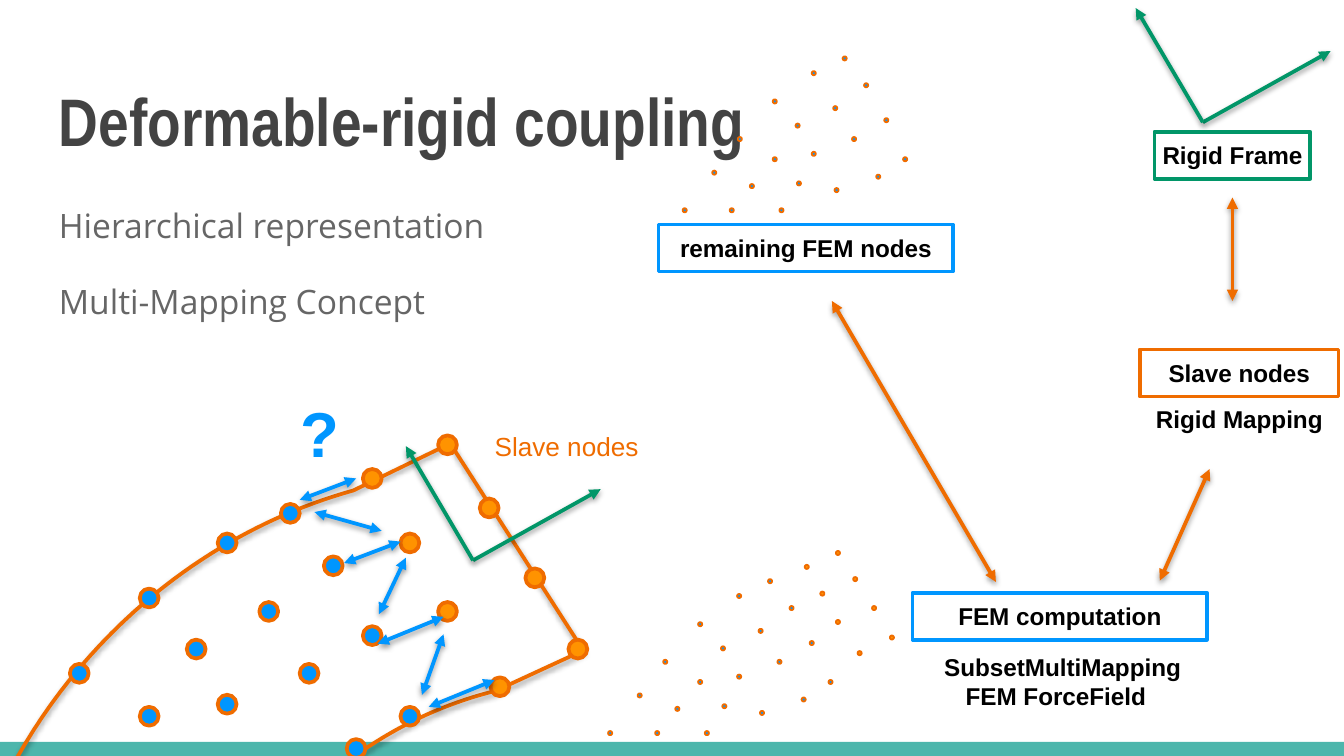
from lxml.etree import SubElement
from pptx import Presentation
from pptx.dml.color import RGBColor
from pptx.enum.shapes import MSO_CONNECTOR, MSO_SHAPE
from pptx.enum.text import MSO_ANCHOR, PP_ALIGN
from pptx.oxml.ns import qn
from pptx.util import Inches, Pt

COLUMNS, ROWS = 1000, 562.5
UNIT = Inches(10) / COLUMNS
ORANGE, AMBER, BLUE, GREEN = "EF6C00", "FF9300", "0096FF", "019668"
BLACK, WHITE, TEAL = "000000", "FFFFFF", "4DB6AC"

NODE, POINT = 14, 3
SLAVE_NODES = [(326, 324), (270, 349), (298, 397), (357, 371),
               (326, 448), (391, 423), (365, 504), (423, 476)]
FREE_NODES = [(209, 375), (241, 414), (270, 466), (298, 526), (162, 397), (193, 448), (223, 494),
              (258, 550), (104, 438), (139, 476), (162, 517), (52, 494), (104, 526)]
CLOUD = [(627, 42), (643, 62), (658, 88), (672, 117), (604, 53), (620, 79), (634, 102),
         (652, 130), (575, 74), (592, 92), (604, 113), (549, 102), (575, 117), (621, 140),
         (593, 135), (530, 127), (543, 155), (558, 137), (580, 155), (508, 155)]
CLOUD_SHIFT = (-55.5, 389)
SLAVE_CLOUD_START, SLAVE_CLOUD_SCALE = (622, 410), 0.414

OUTLINE = [
    [(-34, 693)],
    [(160, 692)],
    [(178, 650), (205, 612), (240, 582)],
    [(277, 549), (321, 526), (369, 514)],
    [(434, 484)],
    [(335, 330)],
    [(263, 365)],
    [(202, 382), (147, 413), (100, 455)],
    [(30, 518), (-17, 601), (-34, 693)],
]
FRAME_ORIGINS = [(352, 417), (895, 91)]
FRAME_AXES = [(95, -53), (-50, -85)]
COUPLING_ARROWS = [((256, 419), (298, 403)), ((282, 457), (302, 415)), ((281, 479), (330, 459)),
                   ((319, 526), (368, 506)), ((314, 517), (330, 472)), ((234, 381), (284, 395)),
                   ((223, 372), (265, 356))]
MAPPING_ARROWS = [((917, 224), (917, 147)), ((863, 432), (900, 349)), ((741, 433), (619, 224))]

BOXES = [
    ("Rigid Frame", (859, 98, 116, 35), GREEN),
    ("Slave nodes", (848, 260, 148, 35), ORANGE),
    ("remaining FEM nodes", (490, 167, 219, 35), BLUE),
    ("FEM computation", (679, 441, 219, 35), BLUE),
]
HEADING = dict(size=36, font="Arial Narrow", color="434343", bold=True, inset=10, wrap=True)
BODY = dict(size=18, font="Open Sans", color="666666", inset=10, wrap=True, spacing=1.15, before=16)
LABEL = dict(size=13, bold=True, align=PP_ALIGN.CENTER)
TEXTS = [
    ("Deformable-rigid coupling", (34, 49, 932, 77), HEADING),
    ("Hierarchical representation\nMulti-Mapping Concept", (34, 138, 364, 111), BODY),
    ("Slave nodes", (368, 320, 108, 22), dict(size=14, color=ORANGE)),
    ("Rigid Mapping", (859, 301, 126, 22), LABEL),
    ("?", (223, 293, 30, 57), LABEL | dict(size=34, color=BLUE)),
    (" SubsetMultiMapping\nFEM ForceField ", (694, 485, 188, 44), LABEL),
]


def rgb(value):
    return RGBColor.from_string(value)


def emu(*lengths):
    return [round(length * UNIT) for length in lengths]


def write(shape, text, size=13, font="Arial", color=BLACK, bold=False, align=PP_ALIGN.LEFT,
          anchor=MSO_ANCHOR.TOP, inset=0, wrap=False, spacing=None, before=0):
    frame = shape.text_frame
    frame.word_wrap, frame.vertical_anchor = wrap, anchor
    margin, = emu(inset)
    frame.margin_left = frame.margin_right = frame.margin_top = frame.margin_bottom = margin
    for index, line in enumerate(text.split("\n")):
        para = frame.paragraphs[0] if index == 0 else frame.add_paragraph()
        para.alignment, para.line_spacing = align, spacing
        para.space_before = Pt(before if index else 0)
        span = para.add_run()
        span.text = line
        span.font.size, span.font.name, span.font.bold = Pt(size), font, bold
        span.font.color.rgb = rgb(color)


def stroke(shape, color, width=2):
    shape.line.color.rgb, shape.line.width = rgb(color), Pt(width)


def add_shadow(shape):
    properties = shape._element.spPr
    for old in properties.findall(qn("a:effectLst")):
        properties.remove(old)
    effects = SubElement(properties, qn("a:effectLst"))
    shadow = SubElement(effects, qn("a:outerShdw"), blurRad=str(Pt(3)), dist=str(Pt(1.6)),
                        dir="5400000", rotWithShape="0")
    tint = SubElement(shadow, qn("a:srgbClr"), val=BLACK)
    SubElement(tint, qn("a:alpha"), val="38000")


def add_preset(shapes, kind, place, fill, line=None, width=2):
    shape = shapes.add_shape(kind, *emu(*place))
    shape.shadow.inherit = False
    shape.fill.solid()
    shape.fill.fore_color.rgb = rgb(fill)
    if line:
        stroke(shape, line, width)
    else:
        shape.line.fill.background()
    return shape


def add_dots(shapes, corners, size, fill, width):
    for left, top in corners:
        add_preset(shapes, MSO_SHAPE.OVAL, (left, top, size, size), fill, ORANGE, width)


def add_arrow(page, start, end, color, ends=("headEnd", "tailEnd")):
    arrow = page.shapes.add_connector(MSO_CONNECTOR.STRAIGHT, *emu(*start, *end))
    stroke(arrow, color)
    for name in ends:
        SubElement(arrow.line._get_or_add_ln(), qn(f"a:{name}"), type="triangle")
    add_shadow(arrow)


def curve_points(start, controls, steps=24):
    points = (start, *controls)
    for step in range(1, steps + 1):
        t = step / steps
        weights = ((1 - t) ** 3, 3 * t * (1 - t) ** 2, 3 * t * t * (1 - t), t ** 3)
        yield tuple(sum(w * p[axis] for w, p in zip(weights, points)) for axis in (0, 1))


def add_outline(page):
    points = list(OUTLINE[0])
    for segment in OUTLINE[1:]:
        points += curve_points(points[-1], segment) if len(segment) == 3 else segment
    builder = page.shapes.build_freeform(*emu(*points[0]), scale=1.0)
    builder.add_line_segments([tuple(emu(*point)) for point in points[1:]], close=True)
    outline = builder.convert_to_shape()
    outline.fill.background()
    stroke(outline, ORANGE)
    add_shadow(outline)


def main():
    """Build the deformable-rigid coupling slide."""
    deck = Presentation()
    deck.slide_width, deck.slide_height = emu(COLUMNS, ROWS)
    page = deck.slides.add_slide(deck.slide_layouts[6])
    shapes = page.shapes
    add_preset(shapes, MSO_SHAPE.RECTANGLE, (0, 552, COLUMNS, ROWS - 552), TEAL)
    for text, place, style in TEXTS:
        write(shapes.add_textbox(*emu(*place)), text, **style)

    add_outline(page)
    add_dots(shapes, SLAVE_NODES, NODE, AMBER, 2)
    add_dots(shapes, FREE_NODES, NODE, BLUE, 2)
    for x, y in FRAME_ORIGINS:
        for across, down in FRAME_AXES:
            add_arrow(page, (x, y), (x + across, y + down), GREEN, ["tailEnd"])

    for text, place, color in BOXES:
        box = add_preset(shapes, MSO_SHAPE.RECTANGLE, place, WHITE, color)
        write(box, text, anchor=MSO_ANCHOR.MIDDLE, **LABEL)

    add_dots(shapes, CLOUD, POINT, BLUE, 1)
    shifted = [(x + CLOUD_SHIFT[0], y + CLOUD_SHIFT[1]) for x, y in CLOUD]
    add_dots(shapes.add_group_shape().shapes, shifted, POINT, BLUE, 1)
    scaled = [tuple(start + (value - first) * SLAVE_CLOUD_SCALE for start, value, first
                    in zip(SLAVE_CLOUD_START, node, SLAVE_NODES[0])) for node in SLAVE_NODES]
    add_dots(shapes.add_group_shape().shapes, scaled, POINT, AMBER, 1)

    for arrows, color in ((COUPLING_ARROWS, BLUE), (MAPPING_ARROWS, ORANGE)):
        for start, end in arrows:
            add_arrow(page, start, end, color)
    deck.save("out.pptx")


if __name__ == "__main__":
    main()
